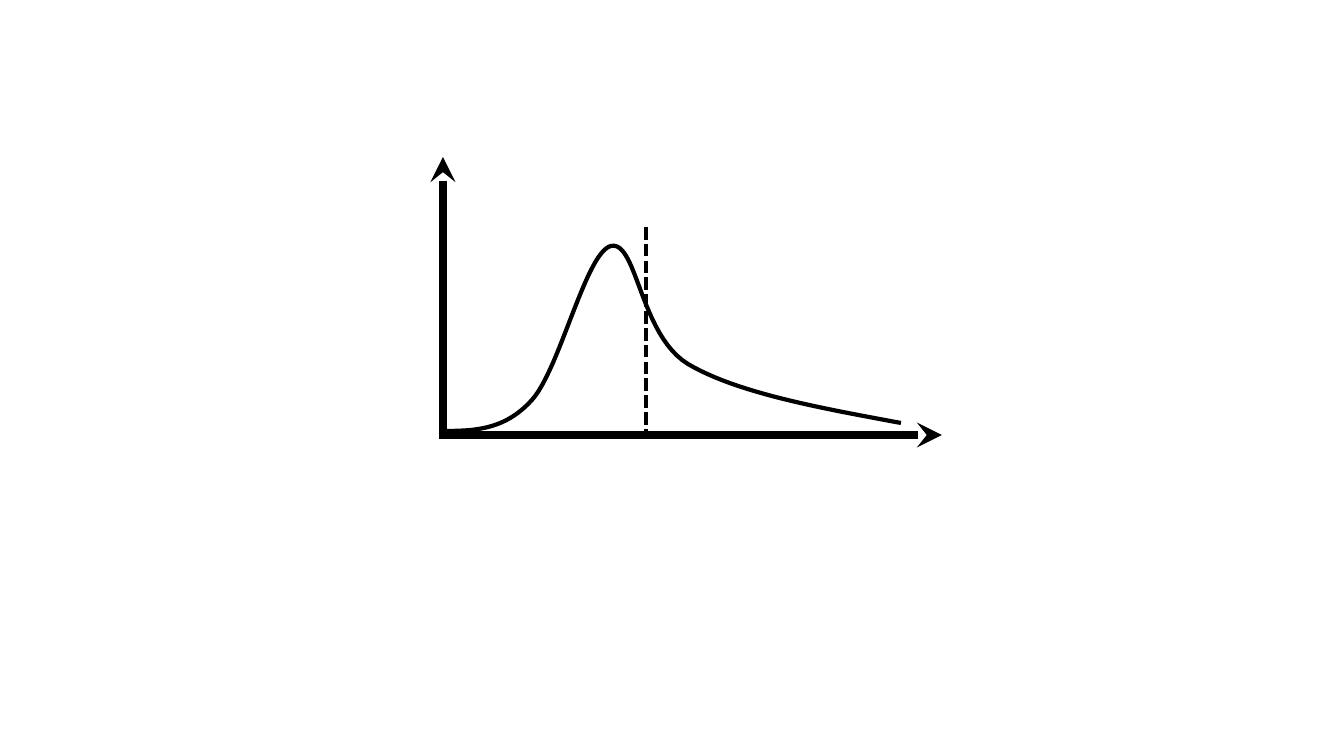
from lxml.etree import SubElement
from pptx import Presentation
from pptx.dml.color import RGBColor
from pptx.enum.dml import MSO_LINE
from pptx.enum.shapes import MSO_CONNECTOR
from pptx.oxml.ns import qn
from pptx.util import Pt

PX = 914400 / 100.8
BLACK = RGBColor(0x00, 0x00, 0x00)
CURVE_STEPS = 24


def emu(pixels):
    return round(pixels * PX)


def add_line(shapes, start, end, width, dash=None, arrow=False):
    connector = shapes.add_connector(
        MSO_CONNECTOR.STRAIGHT, *(emu(value) for value in (*start, *end)))
    connector.line.color.rgb = BLACK
    connector.line.width = Pt(width)
    if dash:
        connector.line.dash_style = dash
    properties = connector.element.spPr
    if arrow:
        SubElement(properties.find(qn("a:ln")), qn("a:tailEnd"), type="stealth")
    SubElement(properties, qn("a:effectLst"))


presentation = Presentation()
presentation.slide_width = emu(1344)
presentation.slide_height = emu(756)
slide = presentation.slides.add_slide(presentation.slide_layouts[6])
graph = slide.shapes.add_group_shape().shapes

# Axes
add_line(graph, (443, 439), (443, 157), 6, arrow=True)
add_line(graph, (439, 435), (942, 435), 6, arrow=True)

# Skewed curve: each Bézier segment gives two control points and an end point
curve_start = (440, 431)
curve_segments = [
    ((473, 431), (504, 431), (532, 400)),
    ((560, 369), (586, 252), (611, 246)),
    ((637, 240), (640, 335), (688, 364)),
    ((737, 393), (820, 408), (901, 423)),
]
points = []
segment_start = curve_start
for control_1, control_2, segment_end in curve_segments:
    for step in range(1, CURVE_STEPS + 1):
        t = step / CURVE_STEPS
        weights = ((1 - t) ** 3, 3 * t * (1 - t) ** 2, 3 * t ** 2 * (1 - t), t ** 3)
        corners = (segment_start, control_1, control_2, segment_end)
        points.append(tuple(
            emu(sum(weight * corner[axis] for weight, corner in zip(weights, corners)))
            for axis in (0, 1)))
    segment_start = segment_end

builder = graph.build_freeform(emu(curve_start[0]), emu(curve_start[1]))
builder.add_line_segments(points, close=False)
curve = builder.convert_to_shape()
curve.shadow.inherit = False
curve.fill.background()
curve.line.color.rgb = BLACK
curve.line.width = Pt(3)

# Threshold
add_line(graph, (646, 227), (646, 431), 3, dash=MSO_LINE.SQUARE_DOT)

presentation.save("out.pptx")
